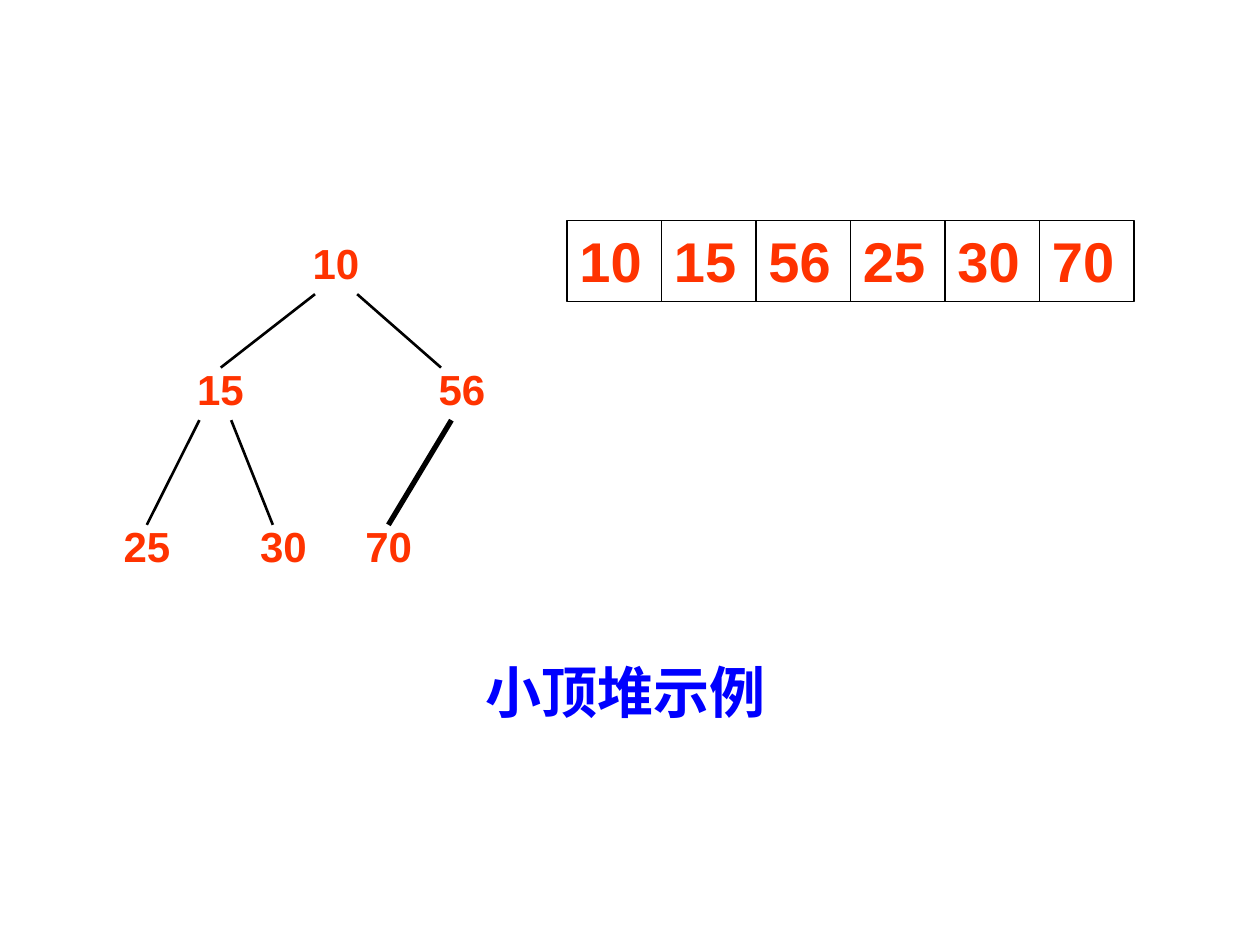
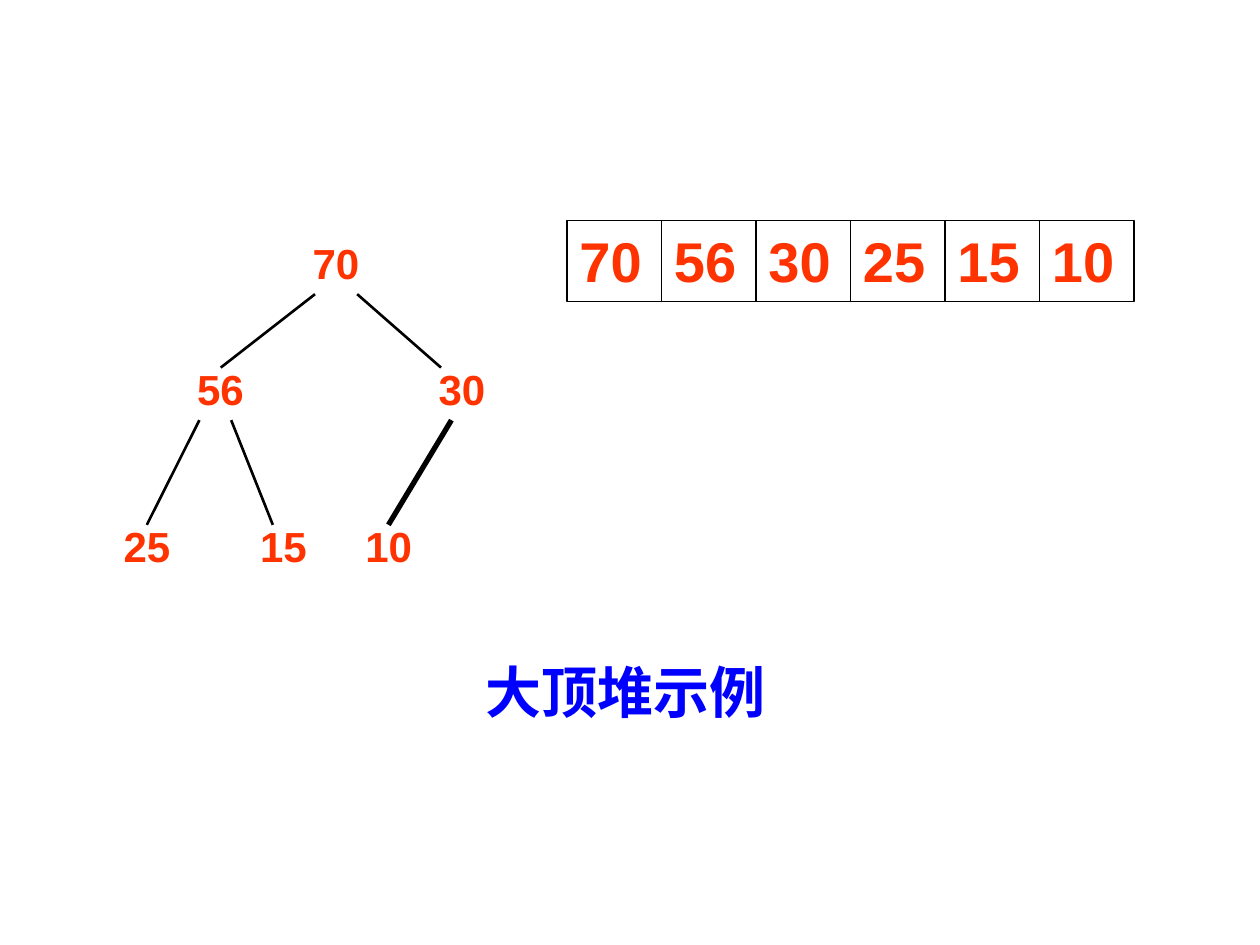
"""Build two slides that show a min-heap and a max-heap as a tree and as an array."""
from lxml import etree
from pptx import Presentation
from pptx.dml.color import RGBColor
from pptx.enum.shapes import MSO_CONNECTOR as Connector, MSO_SHAPE as Shape
from pptx.enum.text import MSO_ANCHOR as Anchor, MSO_AUTO_SIZE as AutoSize, PP_ALIGN as Align
from pptx.oxml.ns import qn
from pptx.util import Cm, Pt

RED = RGBColor(0xFF, 0x33, 0x00)
BLUE = RGBColor(0x00, 0x00, 0xFF)
BLACK = RGBColor(0x00, 0x00, 0x00)
FONT = "Arial"

HEAPS = {
    "小顶堆示例": [10, 15, 56, 25, 30, 70],
    "大顶堆示例": [70, 56, 30, 25, 15, 10],
}

NODE_W, NODE_H = 1.69, 1.27
LEVEL_TOPS = [4.66, 7.2, 10.37]
NODE_LEFTS = [5.93, 3.6, 8.47, 2.12, 4.87, 6.99]
EDGE_OVERLAP = 0.21
EDGES = {
    1: (6.35, 4.45, 1.5),
    2: (7.2, 8.89, 1.5),
    3: (4.02, 2.96, 1.5),
    4: (4.66, 5.5, 1.5),
    5: (9.1, 7.83, 3),
}
ARRAY_LEFT, ARRAY_TOP, ARRAY_W, ARRAY_H = 11.43, 4.45, 11.43, 1.63


def node_top(index):
    """Return the top of a heap node, found from its level in the tree."""
    return LEVEL_TOPS[(index + 1).bit_length() - 1]


def write(shape, text, size, color, align=Align.LEFT):
    """Put one bold line of text in a shape."""
    tf = shape.text_frame
    frame_format = {"word_wrap": True, "auto_size": AutoSize.NONE, "vertical_anchor": Anchor.TOP}
    for name, value in frame_format.items():
        setattr(tf, name, value)
    p = tf.paragraphs[0]
    p.alignment = align
    r = p.add_run()
    r.text = str(text)
    for name, value in {"name": FONT, "size": Pt(size), "bold": True}.items():
        setattr(r.font, name, value)
    r.font.color.rgb = color


def add_caption(s, text):
    """Place the slide title below the tree."""
    title = s.shapes.title
    box = {"left": 9.53, "top": 13.12, "width": 6.56, "height": 1.61}
    for name, value in box.items():
        setattr(title, name, Cm(value))
    write(title, text, 32, BLUE)


def add_node(s, index, value):
    """Add the number of one tree node."""
    box = s.shapes.add_textbox(
        Cm(NODE_LEFTS[index]), Cm(node_top(index)), Cm(NODE_W), Cm(NODE_H))
    write(box, value, 24, RED, Align.CENTER)


def add_edge(s, child, x1, x2, weight):
    """Draw the line from a parent node down to its child."""
    y1 = node_top((child - 1) // 2) + NODE_H
    y2 = node_top(child) + EDGE_OVERLAP
    edge = s.shapes.add_connector(Connector.STRAIGHT, Cm(x1), Cm(y1), Cm(x2), Cm(y2))
    edge.line.color.rgb = BLACK
    edge.line.width = Pt(weight)
    etree.SubElement(edge.element.spPr, qn("a:effectLst"))


def add_cell(s, index, value, width):
    """Add one outlined cell of the array."""
    cell = s.shapes.add_shape(
        Shape.RECTANGLE, Cm(ARRAY_LEFT + index * width), Cm(ARRAY_TOP), Cm(width), Cm(ARRAY_H))
    cell.shadow.inherit = False
    cell.fill.background()
    cell.line.color.rgb = BLACK
    cell.line.width = Pt(0.75)
    write(cell, value, 32, RED)


def add_heap_slide(prs, caption, values):
    """Add a slide with a heap as a tree and as an array."""
    s = prs.slides.add_slide(prs.slide_layouts.get_by_name("Title Only"))
    add_caption(s, caption)
    for index, value in enumerate(values):
        add_node(s, index, value)
    for child, edge in EDGES.items():
        add_edge(s, child, *edge)
    for index, value in enumerate(values):
        add_cell(s, index, value, ARRAY_W / len(values))


def main():
    """Build and save the presentation."""
    prs = Presentation()
    prs.slide_width, prs.slide_height = Cm(25.4), Cm(19.05)
    for caption, values in HEAPS.items():
        add_heap_slide(prs, caption, values)
    prs.save("out.pptx")


if __name__ == "__main__":
    main()
